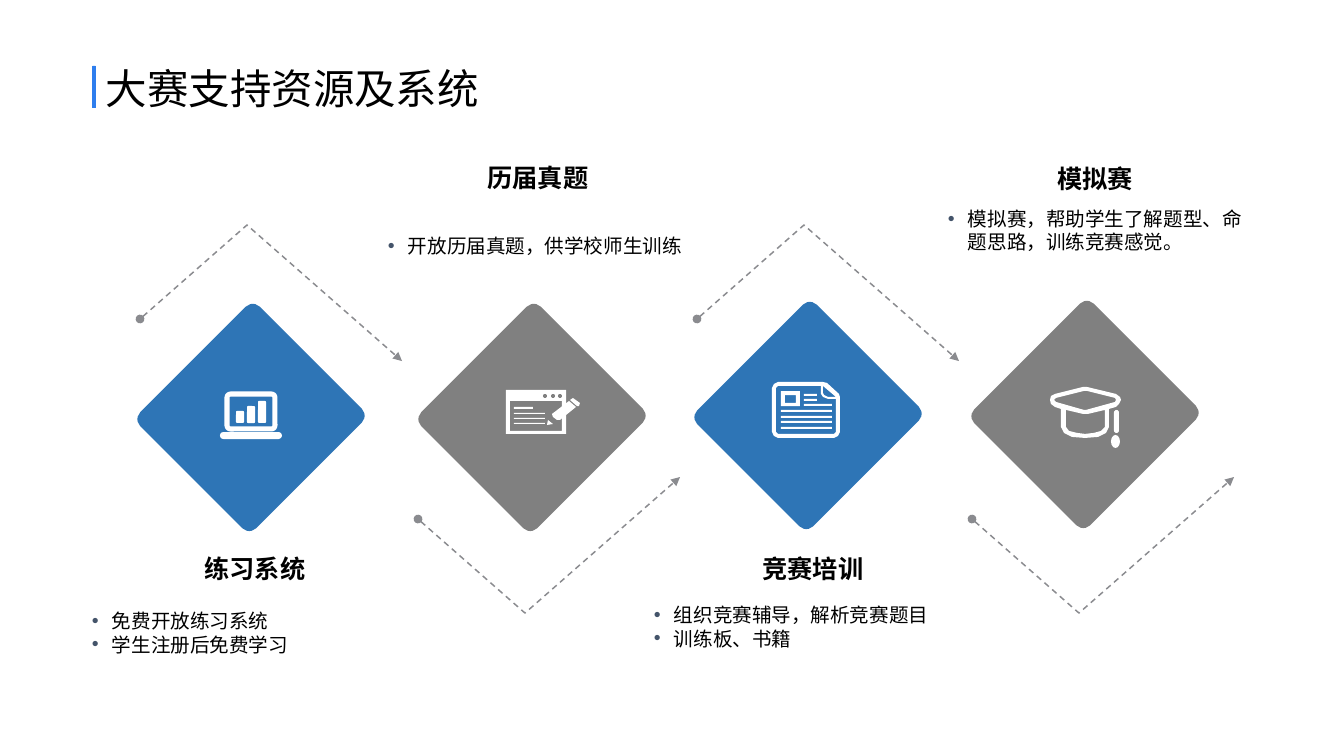
from lxml.etree import SubElement
from pptx import Presentation
from pptx.dml.color import RGBColor
from pptx.enum.dml import MSO_LINE
from pptx.enum.shapes import MSO_SHAPE as Shape
from pptx.enum.text import MSO_ANCHOR as Anchor, PP_ALIGN as Align
from pptx.oxml.ns import qn
from pptx.util import Pt

WIDTH, HEIGHT = 1344, 756
PX = 8572.5
FONT = "Noto Sans CJK SC"
COLORS = {"blue": "2E75B6", "gray": "808080", "accent": "2E7EEE", "dash": "8A8B8F",
          "bullet": "44546A", "text": "000000", "white": "FFFFFF"}

TITLE = "大赛支持资源及系统"
# heading, (heading centre, top), notes, (notes left, top), diamond (left, top), colour, zigzag (left, top, direction)
STAGES = [
    ("练习系统", (255, 548), ["免费开放练习系统", "学生注册后免费学习"], (92, 609),
     (169, 333), "blue", (140, 319, -1)),
    ("历届真题", (538, 157), ["开放历届真题，供学校师生训练"], (388, 234),
     (450, 333), "gray", (418, 519, 1)),
    ("竞赛培训", (813, 548), ["组织竞赛辅导，解析竞赛题目", "训练板、书籍"], (654, 603),
     (726, 331), "blue", (697, 319, -1)),
    ("模拟赛", (1095, 158), ["模拟赛，帮助学生了解题型、命题思路，训练竞赛感觉。"], (948, 207),
     (1003, 330), "gray", (972, 519, 1)),
]
DIAMOND = (164, 169)
ZIGZAG = [(0, 0), (107, 94), (262, -42)]

# Icon parts as left, top, width, height
LAPTOP_SCREEN = (227, 394, 48, 35)
LAPTOP_BASE = (220, 432, 62, 7)
BAR_BOTTOM, BARS = 423, [(236, 12), (247, 17), (258, 22)]
BROWSER_DOTS = [(x, 394, 4, 4) for x in (543, 551, 558)]
BROWSER_LINES = [(514, 407, 19, 2)] + [(514, y, 31, 1) for y in (413, 418, 423)]
NEWS_LINES = ([(804, y, 13, 2) for y in (394, 399)] + [(804, 404, 28, 2)]
              + [(781, y, 51, 2) for y in (410, 416, 421, 427)])
TASSEL_CORD = (1114, 410, 5, 23)
TASSEL_END = (1111, 435, 9, 13)


def corners(left, top, right, bottom):
    return [(left, top), (right, top), (right, bottom), (left, bottom)]


# Icon outlines: the first contour is the edge, the others are holes
OUTLINES = {
    "browser": [corners(506, 390, 566, 434), corners(510, 401, 562, 431)],
    "pencil body": [[(569, 401), (552, 414), (553, 417), (557, 420), (560, 420), (576, 407)]],
    "pencil end": [[(570, 400), (573, 398), (580, 403), (579, 406), (577, 406)]],
    "pencil tip": [[(548, 420), (547, 425), (553, 424)]],
    "newspaper": [
        [(778, 382), (823, 382), (827, 383), (839, 394), (840, 397), (840, 432), (838, 436),
         (834, 438), (778, 438), (774, 436), (772, 432), (772, 388), (774, 384)],
        [(778, 386), (821, 386), (821, 394), (823, 397), (828, 399), (836, 399), (836, 432),
         (834, 434), (778, 434), (776, 432), (776, 388)],
        [(823, 386), (836, 397), (828, 397), (824, 395), (823, 393)]],
    "news photo": [corners(781, 391, 800, 406), corners(785, 395, 796, 403)],
    "cap": [
        [(1050, 400), (1051, 396), (1055, 394), (1083, 387), (1087, 387), (1116, 394),
         (1120, 397), (1121, 400), (1119, 404), (1116, 407), (1109, 409), (1109, 427),
         (1106, 433), (1098, 437), (1085, 438), (1072, 437), (1064, 433), (1061, 427),
         (1061, 409), (1055, 407), (1051, 404)],
        [(1066, 410), (1083, 414), (1088, 414), (1105, 410), (1105, 427), (1101, 431),
         (1094, 433), (1085, 434), (1077, 433), (1069, 431), (1066, 427)],
        [(1054, 400), (1056, 398), (1084, 391), (1087, 391), (1115, 398), (1116, 400),
         (1115, 402), (1086, 410), (1084, 410), (1056, 402)]],
}

prs = Presentation()
prs.slide_width, prs.slide_height = round(WIDTH * PX), round(HEIGHT * PX)
slide = prs.slides.add_slide(prs.slide_layouts[6])


def emu(*lengths):
    return [round(length * PX) for length in lengths]


def rgb(name):
    return RGBColor.from_string(COLORS[name])


def paint(shape, fill=None, line=None, weight=1):
    shape.shadow.inherit = False
    if fill:
        shape.fill.solid()
        shape.fill.fore_color.rgb = rgb(fill)
    else:
        shape.fill.background()
    if line:
        shape.line.color.rgb = rgb(line)
        shape.line.width = Pt(weight)
    else:
        shape.line.fill.background()
    return shape


def add_preset(kind, box, radius=None, rotation=0, **colours):
    shape = slide.shapes.add_shape(kind, *emu(*box))
    if radius is not None:
        shape.adjustments[0] = radius
    shape.rotation = rotation
    return paint(shape, **colours)


def add_outline(contours, close=True, **colours):
    builder = slide.shapes.build_freeform(*contours[0][0], scale=PX)
    for index, contour in enumerate(contours):
        if index:
            builder.move_to(*contour[0])
        builder.add_line_segments(contour[1:], close=close)
    return paint(builder.convert_to_shape(), **colours)


def add_text(lines, box, size, bold=False, align=Align.LEFT, anchor=Anchor.TOP,
             margins=(0, 0), spacing=None, bullet=False):
    frame = slide.shapes.add_textbox(*emu(*box)).text_frame
    frame.word_wrap = True
    frame.vertical_anchor = anchor
    frame.margin_left = frame.margin_right = round(margins[0] * PX)
    frame.margin_top = frame.margin_bottom = round(margins[1] * PX)
    for index, line in enumerate(lines):
        paragraph = frame.add_paragraph() if index else frame.paragraphs[0]
        paragraph.alignment = align
        if spacing:
            paragraph.line_spacing = spacing
        if bullet:
            props = paragraph._p.get_or_add_pPr()
            indent = round(20 * PX)
            props.set("marL", str(indent))
            props.set("indent", str(-indent))
            colour = SubElement(props, qn("a:buClr"))
            SubElement(colour, qn("a:srgbClr"), val=COLORS["bullet"])
            SubElement(props, qn("a:buFont"), typeface="Arial")
            SubElement(props, qn("a:buChar"), char="•")
        run = paragraph.add_run()
        run.text = line
        run.font.size, run.font.bold, run.font.name = Pt(size), bold, FONT
        run.font.color.rgb = rgb("text")
        SubElement(run._r.get_or_add_rPr(), qn("a:ea"), typeface=FONT)


def add_zigzag(left, top, direction):
    points = [(left + x, top + direction * y) for x, y in ZIGZAG]
    zigzag = add_outline([points], close=False, line="dash")
    zigzag.line.dash_style = MSO_LINE.DASH
    line = zigzag.line._get_or_add_ln()
    SubElement(line, qn("a:headEnd"), type="oval")
    SubElement(line, qn("a:tailEnd"), type="triangle")


add_text([TITLE], (96, 46, 831, 91), 28, anchor=Anchor.MIDDLE, margins=(10, 5), spacing=0.9)
add_preset(Shape.ROUNDED_RECTANGLE, (92, 66, 4, 42), radius=0.16, fill="accent")

for heading, (centre, heading_top), notes, notes_at, diamond_at, colour, zigzag_at in STAGES:
    add_preset(Shape.ROUNDED_RECTANGLE, (*diamond_at, *DIAMOND), radius=0.06, rotation=45,
               fill=colour)
    add_zigzag(*zigzag_at)
    add_text([heading], (centre - 133, heading_top, 266, 42), 17, bold=True,
             align=Align.CENTER, margins=(10, 5))
    add_text(notes, (*notes_at, 308, 66), 13.2, bullet=True)

add_preset(Shape.ROUNDED_RECTANGLE, LAPTOP_SCREEN, radius=0.1, line="white", weight=3.4)
add_preset(Shape.ROUNDED_RECTANGLE, LAPTOP_BASE, radius=0.5, fill="white")
for left, height in BARS:
    add_preset(Shape.ROUNDED_RECTANGLE, (left, BAR_BOTTOM - height, 8, height), radius=0.15,
               fill="white")
for contours in OUTLINES.values():
    add_outline(contours, fill="white")
for dot in BROWSER_DOTS:
    add_preset(Shape.OVAL, dot, fill="gray")
for rule in BROWSER_LINES + NEWS_LINES:
    add_preset(Shape.RECTANGLE, rule, fill="white")
add_preset(Shape.ROUNDED_RECTANGLE, TASSEL_CORD, radius=0.5, fill="white")
add_preset(Shape.OVAL, TASSEL_END, fill="white")

prs.save("out.pptx")
